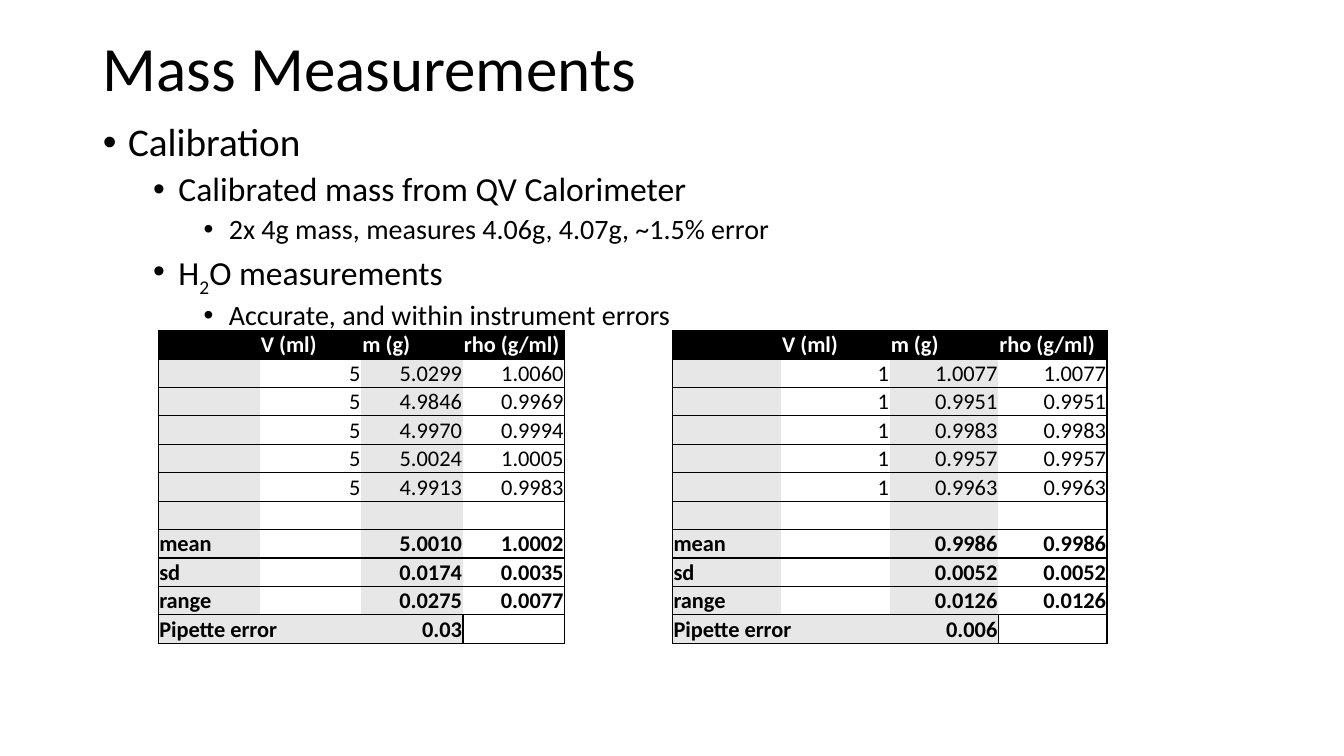
from dataclasses import dataclass

from lxml import etree
from pptx import Presentation
from pptx.dml.color import RGBColor
from pptx.enum.text import MSO_ANCHOR, PP_ALIGN
from pptx.oxml.ns import qn
from pptx.util import Inches, Pt

LEFT, RIGHT = PP_ALIGN.LEFT, PP_ALIGN.RIGHT
BOTTOM, TOP = MSO_ANCHOR.BOTTOM, MSO_ANCHOR.TOP
NO_STYLE = "{2D5ABB26-0587-4C30-8999-92F81FD0307C}"


@dataclass(frozen=True)
class Theme:
    font: str = "Calibri"
    black: str = "000000"
    white: str = "FFFFFF"
    band: str = "E7E7E7"
    title: int = 45
    levels: tuple = (28, 24, 20)
    cell: int = 16


@dataclass(frozen=True)
class Box:
    left: int
    top: int
    width: int
    height: int


THEME = Theme()
WIDTH, HEIGHT = Inches(13.33), Inches(7.5)
SUBSCRIPT = "-25000"

CALIBRATION = [
    (0, ["Calibration"]),
    (1, ["Calibrated mass from QV Calorimeter"]),
    (2, ["2x 4g mass, measures 4.06g, 4.07g, ~1.5% error"]),
    (1, ["H", "2", "O measurements"]),
    (2, ["Accurate, and within instrument errors"]),
]
HEADER = ["", "V (ml)", "m (g)", "rho (g/ml)"]
FIVE_ML = {
    "volume": "5",
    "trials": [("5.0299", "1.0060"), ("4.9846", "0.9969"), ("4.9970", "0.9994"),
               ("5.0024", "1.0005"), ("4.9913", "0.9983")],
    "summary": [("mean", "5.0010", "1.0002"), ("sd", "0.0174", "0.0035"),
                ("range", "0.0275", "0.0077"), ("Pipette error", "0.03", "")],
}
ONE_ML = {
    "volume": "1",
    "trials": [(mass, mass) for mass in ("1.0077", "0.9951", "0.9983", "0.9957", "0.9963")],
    "summary": [("mean", "0.9986", "0.9986"), ("sd", "0.0052", "0.0052"),
                ("range", "0.0126", "0.0126"), ("Pipette error", "0.006", "")],
}


def percent_box(left, top, width, height):
    return Box(int(WIDTH * left / 100), int(HEIGHT * top / 100),
               int(WIDTH * width / 100), int(HEIGHT * height / 100))


def place(placeholder, box):
    placeholder.left, placeholder.top = box.left, box.top
    placeholder.width, placeholder.height = box.width, box.height


def add_run(paragraph, text, size, color=THEME.black, bold=False):
    run = paragraph.add_run()
    run.text = text
    run.font.name = THEME.font
    run.font.size = Pt(size)
    run.font.bold = bold
    run.font.color.rgb = RGBColor.from_string(color)
    return run


def add_title(slide, box):
    title = slide.shapes.title
    place(title, box)
    title.text_frame.vertical_anchor = BOTTOM
    heading = title.text_frame.paragraphs[0]
    heading.alignment = LEFT
    heading.line_spacing = 0.7
    add_run(heading, "Mass Measurements", THEME.title)


def add_bullets(slide, box):
    body = slide.placeholders[1]
    place(body, box)
    frame = body.text_frame
    frame.vertical_anchor = TOP
    for index, (level, parts) in enumerate(CALIBRATION):
        point = frame.add_paragraph() if index else frame.paragraphs[0]
        point.level = level
        point.line_spacing = 0.9
        point.space_before = Pt(5 if index else 0)
        properties = point._p.get_or_add_pPr()
        properties.set("marL", str(Inches(0.25 + 0.5 * level)))
        properties.set("indent", str(Inches(-0.25)))
        etree.SubElement(properties, qn("a:buFont"), typeface="Arial")
        etree.SubElement(properties, qn("a:buChar"), char="•")
        for part in parts:
            run = add_run(point, part, THEME.levels[level])
            if part == "2":
                run.font._element.set("baseline", SUBSCRIPT)


def add_borders(cell, sides):
    properties = cell._tc.get_or_add_tcPr()
    for side in sides:
        line = etree.SubElement(properties, qn(f"a:ln{side}"), w=str(Pt(1)))
        fill = etree.SubElement(line, qn("a:solidFill"))
        etree.SubElement(fill, qn("a:srgbClr"), val=THEME.black)


def fill_cell(cell, text, sides, background, color, bold, alignment):
    add_borders(cell, sides)
    cell.fill.solid()
    cell.fill.fore_color.rgb = RGBColor.from_string(background)
    cell.vertical_anchor = BOTTOM
    cell.margin_left = cell.margin_right = cell.margin_top = Inches(0.01)
    cell.margin_bottom = 0
    entry = cell.text_frame.paragraphs[0]
    entry.alignment = alignment
    if text:
        add_run(entry, text, THEME.cell, color, bold)
    else:
        etree.SubElement(entry._p, qn("a:endParaRPr"), sz=str(THEME.cell * 100))


def add_measurements(slide, box, sample):
    rows = [HEADER]
    rows += [["", sample["volume"], mass, density] for mass, density in sample["trials"]]
    blank = len(rows)
    rows.append([""] * len(HEADER))
    rows += [[label, "", mass, density] for label, mass, density in sample["summary"]]
    last_row, last_column = len(rows) - 1, len(HEADER) - 1

    table = slide.shapes.add_table(len(rows), len(HEADER), box.left, box.top,
                                   box.width, box.height).table
    table._tbl.tblPr.find(qn("a:tableStyleId")).text = NO_STYLE
    for row in table.rows:
        row.height = box.height // len(rows)
    for column in table.columns:
        column.width = box.width // len(HEADER)

    for r, values in enumerate(rows):
        for c, text in enumerate(values):
            header = r == 0
            left_edge = c == 0 or (r == last_row and c == last_column)
            right_edge = c == last_column or (r == last_row and c == last_column - 1)
            sides = "L" * left_edge + "R" * right_edge + "TB"
            band = THEME.white if c % 2 else THEME.band
            fill_cell(table.cell(r, c), text, sides,
                      THEME.black if header else band,
                      THEME.white if header else THEME.black,
                      header or r > blank,
                      LEFT if header or c == 0 else RIGHT)
    table.cell(last_row, 0).merge(table.cell(last_row, 1))


def main():
    deck = Presentation()
    deck.slide_width, deck.slide_height = WIDTH, HEIGHT
    slide = deck.slides.add_slide(deck.slide_layouts[1])
    add_bullets(slide, percent_box(6.9, 15.6, 89.35, 74.4))
    add_title(slide, percent_box(6.9, 5.33, 86.27, 8.8))
    add_measurements(slide, percent_box(11.78, 43.73, 30.23, 40.67), FIVE_ML)
    add_measurements(slide, percent_box(50.04, 43.73, 32.33, 40.67), ONE_ML)
    deck.save("out.pptx")


if __name__ == "__main__":
    main()
